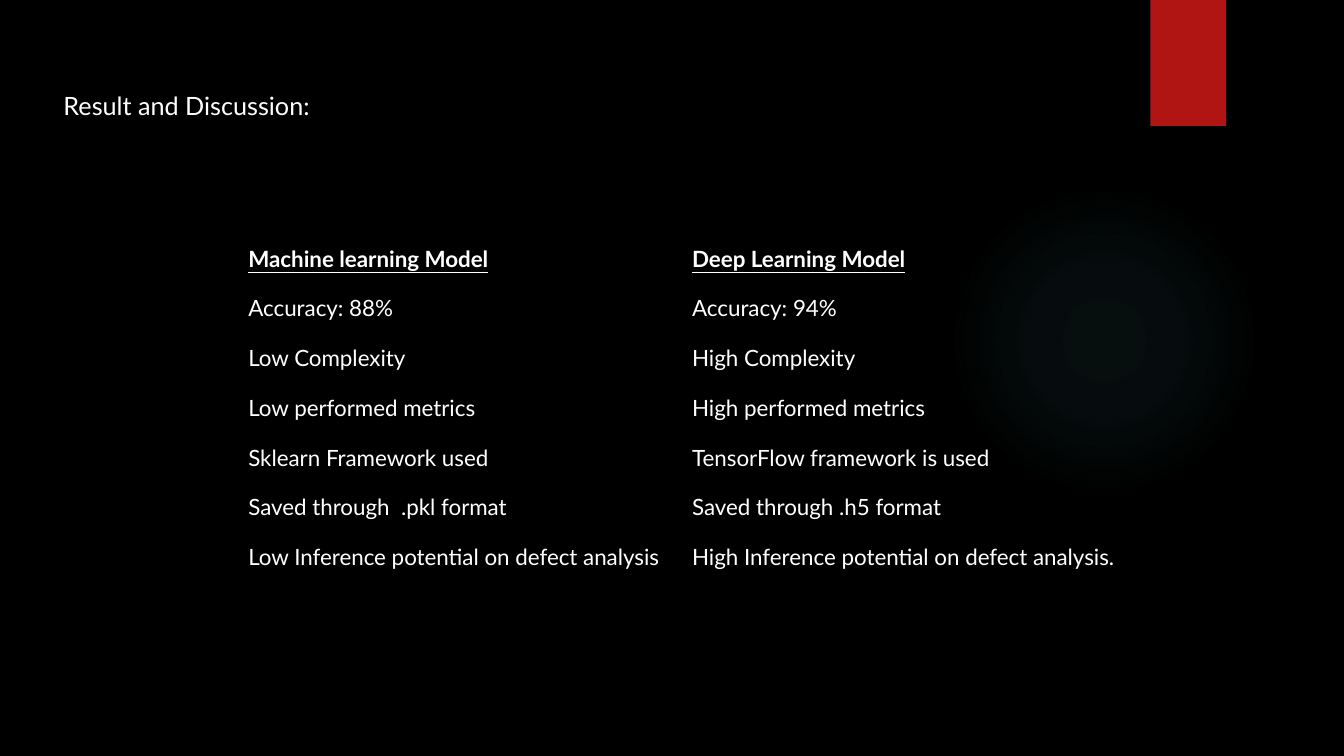
from lxml.etree import SubElement
from pptx import Presentation
from pptx.dml.color import RGBColor
from pptx.enum.shapes import MSO_SHAPE
from pptx.enum.text import MSO_ANCHOR
from pptx.oxml.ns import qn
from pptx.util import Pt

COLOURS = {"background": "000000", "text": "FFFFFF", "ribbon": "B01513", "glow": "50B9C1"}
FONT = "Lato"
PLAIN_TABLE = "{2D5ABB26-0587-4C30-8999-92F81FD0307C}"
MODELS = [
    ("Machine learning Model", "Deep Learning Model"),
    ("Accuracy: 88%", "Accuracy: 94%"),
    ("Low Complexity", "High Complexity"),
    ("Low performed metrics", "High performed metrics"),
    ("Sklearn Framework used", "TensorFlow framework is used"),
    ("Saved through  .pkl format", "Saved through .h5 format"),
    ("Low Inference potential on defect analysis", "High Inference potential on defect analysis."),
]


def colour(name):
    return RGBColor.from_string(COLOURS[name])


def write(frame, text, size=16, heading=False, spacing=None):
    para = frame.paragraphs[0]
    if spacing:
        para.line_spacing = Pt(spacing)
    span = para.add_run()
    span.text = text
    span.font.name = FONT
    span.font.size = Pt(size)
    span.font.bold = heading
    span.font.underline = heading
    span.font.color.rgb = colour("text")


class Page:
    def __init__(self, deck):
        self.slide = deck.slides.add_slide(deck.slide_layouts[6])
        fill = self.slide.background.fill
        fill.solid()
        fill.fore_color.rgb = colour("background")

    def shape(self, kind, *place):
        shape = self.slide.shapes.add_shape(kind, *map(Pt, place))
        shape.shadow.inherit = False
        shape.line.fill.background()
        return shape

    def ribbon(self, *place):
        fill = self.shape(MSO_SHAPE.RECTANGLE, *place).fill
        fill.solid()
        fill.fore_color.rgb = colour("ribbon")

    def glow(self, *place, stops):
        properties = self.shape(MSO_SHAPE.OVAL, *place)._element.spPr
        gradient = SubElement(properties, qn("a:gradFill"))
        properties.find(qn("a:prstGeom")).addnext(gradient)
        stop_list = SubElement(gradient, qn("a:gsLst"))
        for position, opacity in stops:
            stop = SubElement(stop_list, qn("a:gs"), pos=str(position * 1000))
            tint = SubElement(stop, qn("a:srgbClr"), val=COLOURS["glow"])
            SubElement(tint, qn("a:alpha"), val=str(opacity * 1000))
        circle = SubElement(gradient, qn("a:path"), path="circle")
        SubElement(circle, qn("a:fillToRect"), {side: "50000" for side in "ltrb"})

    def title(self, text, *place):
        frame = self.slide.shapes.add_textbox(*map(Pt, place)).text_frame
        frame.word_wrap = True
        write(frame, text, size=18)

    def table(self, rows, *place, heights):
        holder = self.slide.shapes.add_table(len(rows), len(rows[0]), *map(Pt, place))
        table = holder.table
        table.first_row = table.horz_banding = False
        table._tbl.tblPr.find(qn("a:tableStyleId")).text = PLAIN_TABLE
        for index, (texts, height) in enumerate(zip(rows, heights)):
            table.rows[index].height = Pt(height)
            for column, text in enumerate(texts):
                cell = table.cell(index, column)
                cell.fill.background()
                cell.vertical_anchor = MSO_ANCHOR.TOP
                cell.margin_left = cell.margin_right = Pt(5.4)
                cell.margin_top = cell.margin_bottom = 0
                write(cell.text_frame, text, heading=index == 0, spacing=14.2)


def main():
    deck = Presentation()
    deck.slide_width, deck.slide_height = Pt(960), Pt(540)
    page = Page(deck)
    page.glow(677.5, 131.8, 222, 222, stops=[(0, 7), (36, 6), (69, 0)])
    page.ribbon(821.8, 0, 54, 90)
    page.title("Result and Discussion:", 38.3, 60.7, 823.7, 29)
    page.table(MODELS, 172, 180, 634, 284.4, heights=[35.55] * 6 + [71.1])
    deck.save("out.pptx")


if __name__ == "__main__":
    main()
